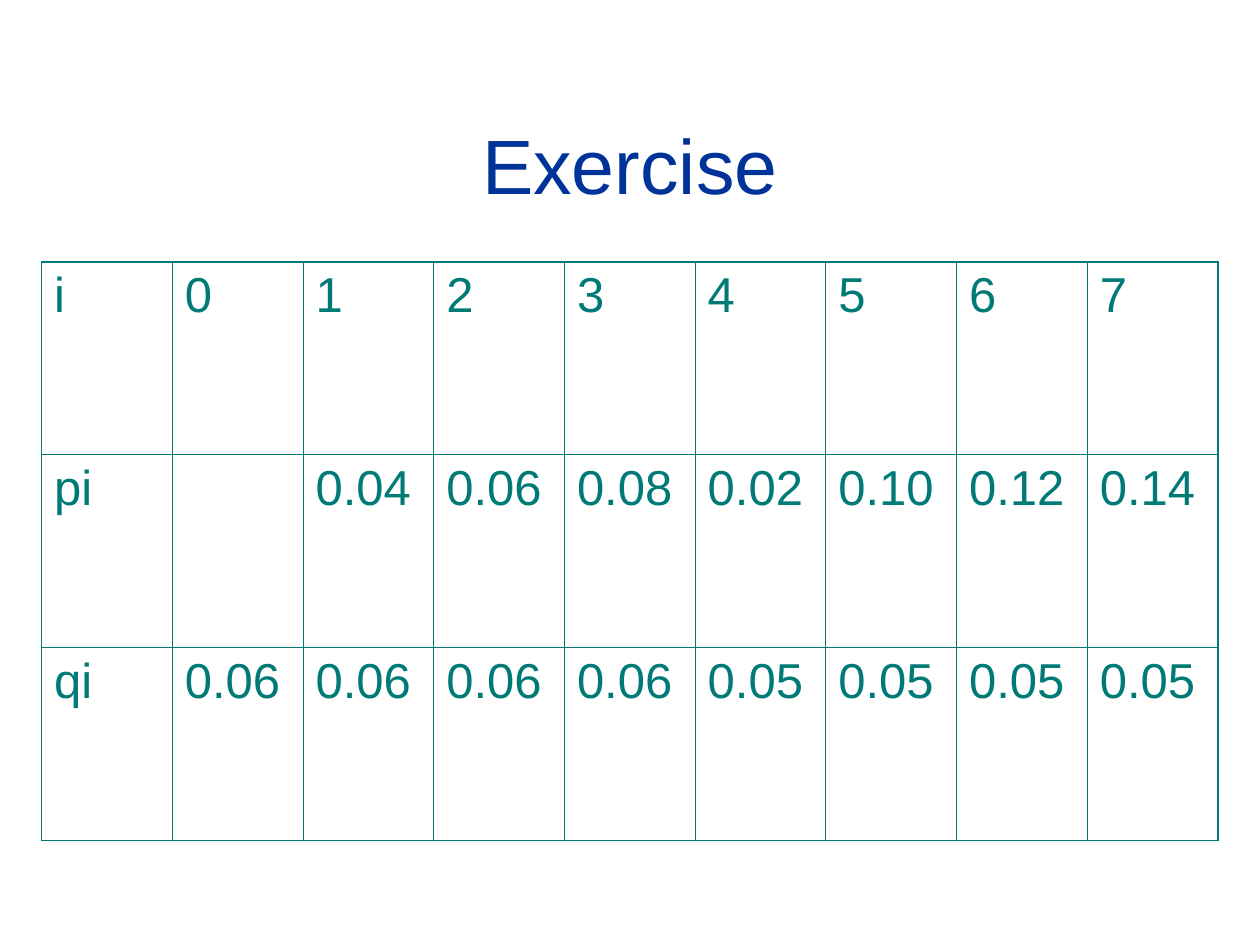
from lxml.etree import SubElement
from pptx import Presentation
from pptx.dml.color import RGBColor
from pptx.enum.text import MSO_ANCHOR, PP_ALIGN
from pptx.oxml.ns import qn
from pptx.util import Inches, Pt

BLUE = RGBColor(0x00, 0x33, 0x99)
TEAL = RGBColor(0x00, 0x7A, 0x77)
FONT = "Arial"
INNER, OUTER = Pt(0.45), Pt(1.08)

ROWS = [
    ["i", "0", "1", "2", "3", "4", "5", "6", "7"],
    ["pi", "", "0.04", "0.06", "0.08", "0.02", "0.10", "0.12", "0.14"],
    ["qi", "0.06", "0.06", "0.06", "0.06", "0.05", "0.05", "0.05", "0.05"],
]


def write(tf, text, size, color, align=PP_ALIGN.LEFT):
    p = tf.paragraphs[0]
    p.alignment = align
    p.font.size = Pt(size)
    if text:
        r = p.add_run()
        r.text = text
        r.font.name = FONT
        r.font.size = Pt(size)
        r.font.color.rgb = color


def set_border(cell, side, width):
    ln = SubElement(cell._tc.get_or_add_tcPr(), qn(f"a:ln{side}"), w=str(width))
    fill = SubElement(ln, qn("a:solidFill"))
    SubElement(fill, qn("a:srgbClr"), val=str(TEAL))


def add_title(slide, text, left, top, width, height):
    tf = slide.shapes.add_textbox(left, top, width, height).text_frame
    tf.word_wrap = True
    tf.vertical_anchor = MSO_ANCHOR.MIDDLE
    write(tf, text, size=44, color=BLUE, align=PP_ALIGN.CENTER)


def add_probability_table(slide, rows, left, top, width, height):
    n_rows, n_cols = len(rows), len(rows[0])
    table = slide.shapes.add_table(n_rows, n_cols, left, top, width, height).table
    table.first_row = table.horz_banding = False
    for i, row in enumerate(rows):
        for j, text in enumerate(row):
            cell = table.cell(i, j)
            on_edge = {"L": j == 0, "R": j == n_cols - 1,
                       "T": i == 0, "B": i == n_rows - 1}
            for side, is_outer in on_edge.items():
                set_border(cell, side, OUTER if is_outer else INNER)
            cell.fill.background()
            write(cell.text_frame, text, size=28, color=TEAL)


def main():
    prs = Presentation()
    prs.slide_width, prs.slide_height = Inches(10), Inches(7.5)
    slide = prs.slides.add_slide(prs.slide_layouts[6])
    left, width = Inches(0.33), Inches(9.34)
    add_title(slide, "Exercise", left, Inches(0.67), width, Inches(1.25))
    add_probability_table(slide, ROWS, left, Inches(2.08), width, Inches(4.59))
    prs.save("out.pptx")


if __name__ == "__main__":
    main()
